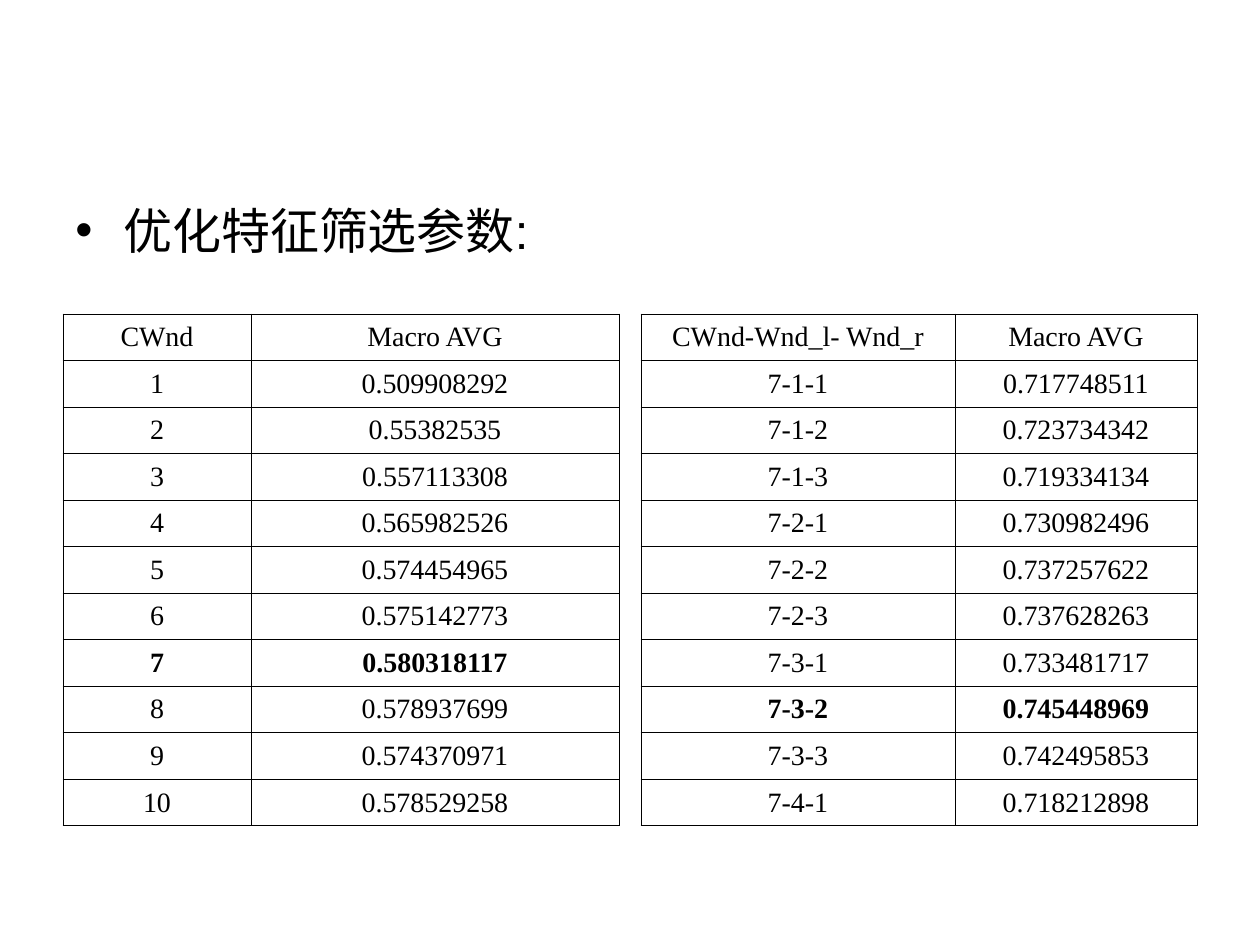
from dataclasses import dataclass

from lxml import etree
from pptx import Presentation
from pptx.dml.color import RGBColor
from pptx.enum.text import MSO_ANCHOR, PP_ALIGN
from pptx.oxml.ns import qn
from pptx.util import Pt

MIDDLE = MSO_ANCHOR.MIDDLE
CENTER = PP_ALIGN.CENTER
SCALE = 914400 // 126  # EMU in one px


@dataclass(frozen=True)
class Theme:
    ink: str = "000000"
    head_font: str = "Arial"
    cell_font: str = "Times New Roman"
    head_size: int = 28
    cell_size: int = 16
    rule: float = 0.45


THEME = Theme()

# Content: header row first, then the results
WINDOW = [
    ("CWnd", "Macro AVG"),
    ("1", "0.509908292"),
    ("2", "0.55382535"),
    ("3", "0.557113308"),
    ("4", "0.565982526"),
    ("5", "0.574454965"),
    ("6", "0.575142773"),
    ("7", "0.580318117"),
    ("8", "0.578937699"),
    ("9", "0.574370971"),
    ("10", "0.578529258"),
]
TRIPLE = [
    ("CWnd-Wnd_l- Wnd_r", "Macro AVG"),
    ("7-1-1", "0.717748511"),
    ("7-1-2", "0.723734342"),
    ("7-1-3", "0.719334134"),
    ("7-2-1", "0.730982496"),
    ("7-2-2", "0.737257622"),
    ("7-2-3", "0.737628263"),
    ("7-3-1", "0.733481717"),
    ("7-3-2", "0.745448969"),
    ("7-3-3", "0.742495853"),
    ("7-4-1", "0.718212898"),
]


def px(n):
    return n * SCALE


def add_run(para, text, font, size, bold=False):
    run = para.add_run()
    run.text = text
    run.font.name = font
    run.font.size = Pt(size)
    run.font.bold = bold
    run.font.color.rgb = RGBColor.from_string(THEME.ink)


def add_bullet(slide, text, left, top, width, height, indent):
    box = slide.shapes.add_textbox(px(left), px(top), px(width), px(height))
    frame = box.text_frame
    frame.word_wrap = True
    para = frame.paragraphs[0]
    props = para._p.get_or_add_pPr()
    props.set("marL", str(px(indent)))
    props.set("indent", str(-px(indent)))
    color = etree.SubElement(props, qn("a:buClr"))
    etree.SubElement(color, qn("a:srgbClr"), val=THEME.ink)
    etree.SubElement(props, qn("a:buFont"), typeface=THEME.head_font)
    etree.SubElement(props, qn("a:buChar"), char="•")
    add_run(para, text, THEME.head_font, THEME.head_size)


def add_border(cell):
    props = cell._tc.get_or_add_tcPr()
    for side in ("lnL", "lnR", "lnT", "lnB"):
        line = etree.SubElement(props, qn(f"a:{side}"), w=str(Pt(THEME.rule)))
        fill = etree.SubElement(line, qn("a:solidFill"))
        etree.SubElement(fill, qn("a:srgbClr"), val=THEME.ink)


def add_grid(slide, rows, left, top, widths, height):
    """Draw a ruled table with the row of the highest score in bold."""
    frame = slide.shapes.add_table(
        len(rows), len(widths), px(left), px(top), px(sum(widths)), px(height))
    table = frame.table
    table.first_row = False
    table.horz_banding = False
    for col, width in zip(table.columns, widths):
        col.width = px(width)
    best = max(rows[1:], key=lambda row: float(row[1]))
    for r, row in enumerate(rows):
        table.rows[r].height = px(height) // len(rows)
        for c, text in enumerate(row):
            cell = table.cell(r, c)
            cell.vertical_anchor = MIDDLE
            add_border(cell)
            cell.fill.background()
            para = cell.text_frame.paragraphs[0]
            para.alignment = CENTER
            add_run(para, text, THEME.cell_font, THEME.cell_size, row is best)


def main():
    deck = Presentation()
    deck.slide_width, deck.slide_height = px(1260), px(945)
    slide = deck.slides.add_slide(deck.slide_layouts[6])

    # Heading
    add_bullet(slide, "优化特征筛选参数:", 63, 194, 557, 650, 48)

    # Score tables, side by side
    add_grid(slide, WINDOW, 63, 314, (188, 368), 512)
    add_grid(slide, TRIPLE, 641, 314, (314, 242), 512)

    deck.save("out.pptx")


if __name__ == "__main__":
    main()
